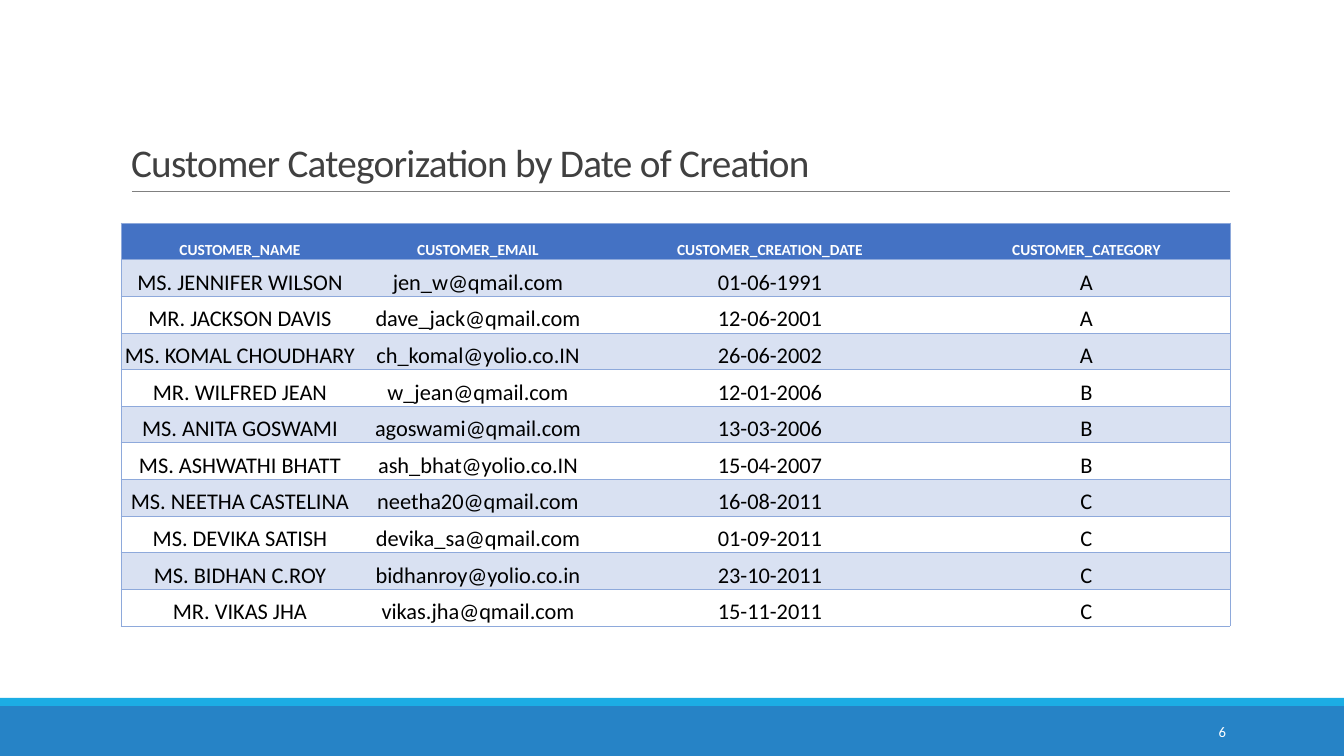
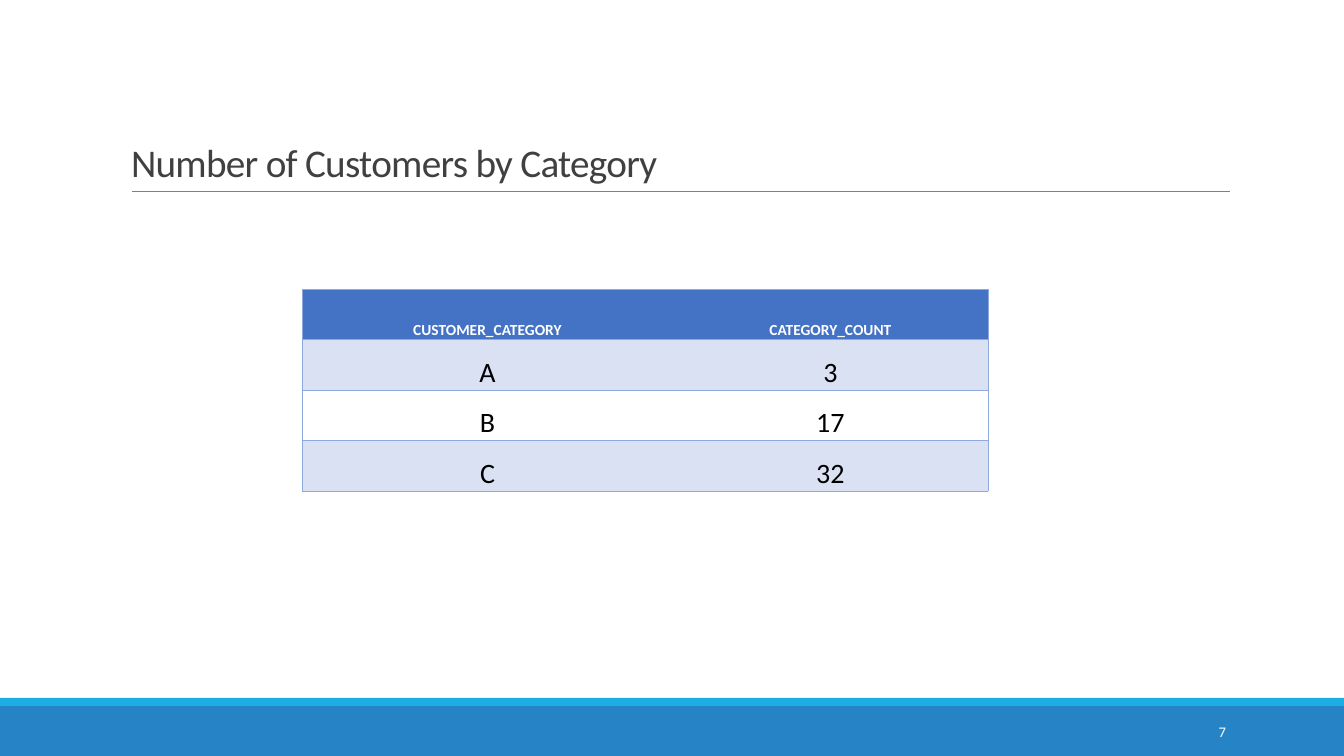
"""Build two customer category slides that share one title layout."""
from dataclasses import dataclass

from lxml import etree
from pptx import Presentation
from pptx.dml.color import RGBColor
from pptx.enum.shapes import MSO_CONNECTOR, MSO_SHAPE
from pptx.enum.text import MSO_ANCHOR, MSO_AUTO_SIZE, PP_ALIGN
from pptx.oxml.ns import qn
from pptx.util import Pt

RECTANGLE = MSO_SHAPE.RECTANGLE
STRAIGHT = MSO_CONNECTOR.STRAIGHT
BOTTOM, MIDDLE = MSO_ANCHOR.BOTTOM, MSO_ANCHOR.MIDDLE
LEFT, CENTER, RIGHT = PP_ALIGN.LEFT, PP_ALIGN.CENTER, PP_ALIGN.RIGHT
NO_AUTOFIT = MSO_AUTO_SIZE.NONE

EMU_PER_PIXEL = 914400 / 100.8
SLIDE_WIDTH, SLIDE_HEIGHT = 1344, 756
TITLE_ONLY_LAYOUT = 5
PLAIN_TABLE_STYLE = "{2D5ABB26-0587-4C30-8999-92F81FD0307C}"


@dataclass(frozen=True)
class Theme:
    """Colours, font and type sizes of the deck."""

    font: str = "Calibri"
    footer_band: str = "2683C6"
    accent_band: str = "1CADE4"
    title_rule: str = "808080"
    title_text: str = "404040"
    light_text: str = "FFFFFF"
    body_text: str = "000000"
    header_fill: str = "4472C4"
    stripe_fill: str = "D9E1F2"
    border: str = "8EA9DB"
    title_size: float = 28
    header_size: float = 11
    number_size: float = 10.5
    line_width: float = 0.5
    title_line_spacing: float = 0.85
    title_tracking: int = -50


THEME = Theme()

CUSTOMERS = [
    ("CUSTOMER_NAME", "CUSTOMER_EMAIL", "CUSTOMER_CREATION_DATE", "CUSTOMER_CATEGORY"),
    ("MS. JENNIFER WILSON", "jen_w@qmail.com", "01-06-1991", "A"),
    ("MR. JACKSON DAVIS", "dave_jack@qmail.com", "12-06-2001", "A"),
    ("MS. KOMAL CHOUDHARY", "ch_komal@yolio.co.IN", "26-06-2002", "A"),
    ("MR. WILFRED JEAN", "w_jean@qmail.com", "12-01-2006", "B"),
    ("MS. ANITA GOSWAMI", "agoswami@qmail.com", "13-03-2006", "B"),
    ("MS. ASHWATHI BHATT", "ash_bhat@yolio.co.IN", "15-04-2007", "B"),
    ("MS. NEETHA CASTELINA", "neetha20@qmail.com", "16-08-2011", "C"),
    ("MS. DEVIKA SATISH", "devika_sa@qmail.com", "01-09-2011", "C"),
    ("MS. BIDHAN C.ROY", "bidhanroy@yolio.co.in", "23-10-2011", "C"),
    ("MR. VIKAS JHA", "vikas.jha@qmail.com", "15-11-2011", "C"),
]
CATEGORY_COUNTS = [
    ("CUSTOMER_CATEGORY", "CATEGORY_COUNT"),
    ("A", "3"),
    ("B", "17"),
    ("C", "32"),
]


def px(pixels):
    """Turn pixels into EMU."""
    return round(pixels * EMU_PER_PIXEL)


def rgb(value):
    """Turn a hex string into a colour."""
    return RGBColor.from_string(value)


def write(frame, text, size, color, align, bold=False):
    """Write one formatted run and return its paragraph."""
    paragraph = frame.paragraphs[0]
    paragraph.alignment = align
    run = paragraph.add_run()
    run.text = text
    run.font.name = THEME.font
    run.font.size = Pt(size)
    run.font.bold = bold
    run.font.color.rgb = rgb(color)
    return paragraph


def add_band(slide, top, height, color):
    """Add a full-width band and return it."""
    band = slide.shapes.add_shape(RECTANGLE, 0, px(top), px(SLIDE_WIDTH), px(height))
    band.shadow.inherit = False
    band.fill.solid()
    band.fill.fore_color.rgb = rgb(color)
    band.line.fill.background()
    return band


def add_title_rule(slide):
    """Add the thin line under the title and return it."""
    rule = slide.shapes.add_connector(STRAIGHT, px(132), px(191), px(1230), px(191))
    rule.line.color.rgb = rgb(THEME.title_rule)
    rule.line.width = Pt(THEME.line_width)
    etree.SubElement(rule.element.spPr, qn("a:effectLst"))
    return rule


def define_layout(layout, slide):
    """Place the title and move the shared bands and rule to the layout."""
    title = layout.placeholders[0]
    title.left, title.top, title.width, title.height = map(px, (121, 31, 1109, 160))
    title.text_frame.vertical_anchor = BOTTOM
    furniture = (
        add_band(slide, 706, 50, THEME.footer_band),
        add_band(slide, 698, 8, THEME.accent_band),
        add_title_rule(slide),
    )
    for index, part in enumerate(furniture, start=2):
        layout.shapes.element.insert(index, part.element)


def set_title(slide, text):
    """Fill the title placeholder."""
    title = slide.shapes.title
    title.text_frame.auto_size = NO_AUTOFIT
    paragraph = write(title.text_frame, text, THEME.title_size, THEME.title_text, LEFT)
    paragraph.line_spacing = THEME.title_line_spacing
    for properties in title.element.iter(qn("a:rPr")):
        properties.set("spc", str(THEME.title_tracking))


def add_slide_number(slide, number):
    """Add the slide number on the footer band."""
    box = slide.shapes.add_textbox(px(1092), px(712), px(144), px(40))
    box.text_frame.word_wrap = True
    box.text_frame.vertical_anchor = MIDDLE
    write(box.text_frame, str(number), THEME.number_size, THEME.light_text, RIGHT)


def set_borders(cell_element, sides):
    """Draw thin borders on the given sides, listed in L, R, T, B order."""
    properties = cell_element.find(qn("a:tcPr"))
    for index, side in enumerate(sides):
        border = etree.Element(qn(f"a:ln{side}"), w=str(Pt(THEME.line_width)))
        fill = etree.SubElement(border, qn("a:solidFill"))
        etree.SubElement(fill, qn("a:srgbClr"), val=THEME.border)
        properties.insert(index, border)


def format_cell(cell, text, row_index, body_size):
    """Fill a cell as part of the header, a stripe or a plain row."""
    cell.margin_left = cell.margin_right = cell.margin_top = px(1)
    cell.margin_bottom = 0
    cell.vertical_anchor = BOTTOM
    is_header = row_index == 0
    if row_index % 2 or is_header:
        cell.fill.solid()
        cell.fill.fore_color.rgb = rgb(THEME.header_fill if is_header else THEME.stripe_fill)
    else:
        cell.fill.background()
    size = THEME.header_size if is_header else body_size
    color = THEME.light_text if is_header else THEME.body_text
    write(cell.text_frame, text, size, color, CENTER, bold=is_header)


def add_striped_table(slide, records, left, top, widths, height, body_size):
    """Add a table with a header, striped rows and ruled rows."""
    frame = slide.shapes.add_table(
        len(records), len(widths), px(left), px(top), px(sum(widths)), px(height)
    )
    table = frame.table
    table.horz_banding = False
    next(frame.element.iter(qn("a:tableStyleId"))).text = PLAIN_TABLE_STYLE
    for column, width in zip(table.columns, widths):
        column.width = px(width)
    for row in table.rows:
        row.height = px(height / len(records))
    cell_elements = frame.element.iter(qn("a:tc"))
    last_column = len(widths) - 1
    for row_index, record in enumerate(records):
        for column_index, text in enumerate(record):
            format_cell(table.cell(row_index, column_index), text, row_index, body_size)
            outer = {0: "L", last_column: "R"}.get(column_index, "")
            set_borders(next(cell_elements), outer + "TB")


def main():
    """Build and save the deck."""
    deck = Presentation()
    deck.slide_width, deck.slide_height = px(SLIDE_WIDTH), px(SLIDE_HEIGHT)
    layout = deck.slide_layouts[TITLE_ONLY_LAYOUT]

    customers = deck.slides.add_slide(layout)
    define_layout(layout, customers)
    set_title(customers, "Customer Categorization by Date of Creation")
    add_slide_number(customers, 6)
    add_striped_table(customers, CUSTOMERS, 121, 223, (238, 238, 346, 287), 403, 16)

    categories = deck.slides.add_slide(layout)
    set_title(categories, "Number of Customers by Category")
    add_slide_number(categories, 7)
    add_striped_table(categories, CATEGORY_COUNTS, 302, 289, (371, 315), 202, 20)

    deck.save("out.pptx")


main()
